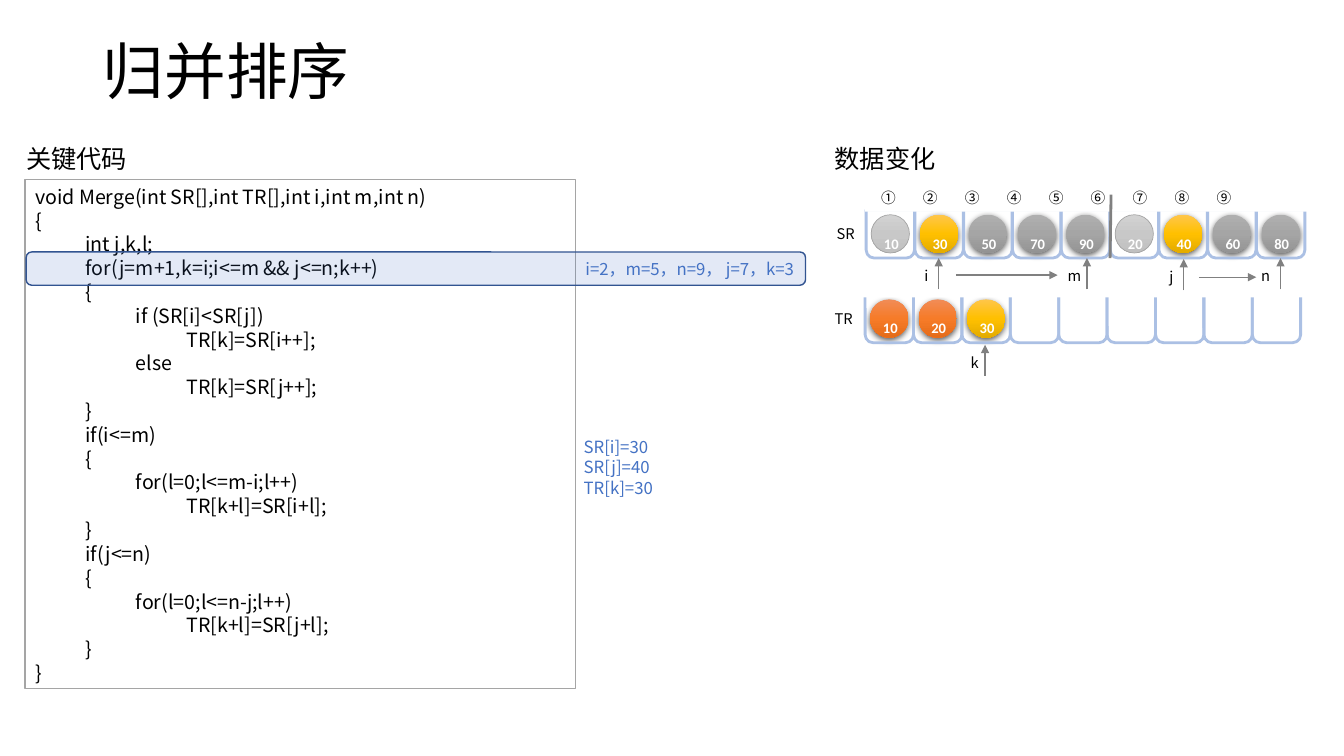
from lxml import etree
from pptx import Presentation
from pptx.dml.color import RGBColor
from pptx.enum import shapes, text
from pptx.oxml import ns
from pptx.util import Inches, Pt

SANS = "Noto Sans CJK SC"
TITLE = "归并排序"
HEADINGS = [("关键代码", 0.16), ("数据变化", 8.18)]
CODE = [
    "void Merge(int SR[],int TR[],int i,int m,int n)",
    "{",
    "\tint j,k,l;",
    "\tfor(j=m+1,k=i;i<=m && j<=n;k++)",
    "\t{",
    "\t\tif (SR[i]<SR[j])",
    "\t\t\tTR[k]=SR[i++];",
    "\t\telse",
    "\t\t\tTR[k]=SR[j++];",
    "\t}",
    "\tif(i<=m)",
    "\t{",
    "\t\tfor(l=0;l<=m-i;l++)",
    "\t\t\tTR[k+l]=SR[i+l];",
    "\t}",
    "\tif(j<=n)",
    "\t{",
    "\t\tfor(l=0;l<=n-j;l++)",
    "\t\t\tTR[k+l]=SR[j+l];",
    "\t}",
    "}",
]
STATE = "i=2，m=5，n=9， j=7，k=3"
VALUES = ["SR[i]=30", "SR[j]=40", "TR[k]=30"]
INDEXES = "①②③④⑤⑥⑦⑧⑨"
GRADIENTS = {
    "used": ("D2D2D2", "C8C8C8", "C0C0C0"),
    "active": ("FFC64B", "FFC000", "E3AB00"),
    "waiting": ("AFAFAF", "A5A5A5", "939393"),
    "merged": ("F18C57", "F67B28", "E56C19"),
}
ROWS = [
    ("SR", 8.20, 2.18, 8.59, 2.08, 0.484, [
        ("10", "used"), ("30", "active"), ("50", "waiting"),
        ("70", "waiting"), ("90", "waiting"), ("20", "used"),
        ("40", "active"), ("60", "waiting"), ("80", "waiting")]),
    ("TR", 8.18, 3.02, 8.58, 2.92, 0.48, [
        ("10", "merged"), ("20", "merged"), ("30", "active")]),
]
CUPS, CUP, BALL = 9, 0.48, 0.38
COVERS = [(8.58, 1.82, 4.69, 0.28), (8.49, 2.77, 4.7, 0.18)]
POINTERS = [("i", 9.07, 2.60, 9.31), ("m", 10.49, 2.60, 10.78),
            ("j", 11.50, 2.61, 11.74), ("n", 12.41, 2.60, 12.70),
            ("k", 9.53, 3.46, 9.77)]
RANGES = [(9.48, 10.49, 2.73), (11.89, 12.46, 2.75)]
DIVIDER = (11.02, 1.93, 11.01, 2.56)


def color(value):
    return RGBColor.from_string(value)


def add_xml(parent, tag, **attributes):
    return etree.SubElement(parent, ns.qn(tag), attributes)


def style_span(span, size, fill, face=SANS):
    span.font.size = Pt(size)
    span.font.name = face
    span.font.color.rgb = color(fill)
    add_xml(span.font._element, "a:ea", typeface=face)


def write(box, lines, size, fill="000000", align=text.PP_ALIGN.LEFT,
          anchor=text.MSO_ANCHOR.TOP):
    frame = box.text_frame
    frame.word_wrap = True
    frame.vertical_anchor = anchor
    if align == text.PP_ALIGN.LEFT:
        frame.margin_right = 0
    for number, line in enumerate(lines):
        para = frame.add_paragraph() if number else frame.paragraphs[0]
        para.alignment = align
        para.line_spacing = Pt(round(size * 1.214, 1))
        span = para.add_run()
        span.text = line
        style_span(span, size, fill)


def add_text(place, lines, size, **options):
    box = page.shapes.add_textbox(*map(Inches, place))
    write(box, lines, size, **options)
    return box


def add_shape(kind, place, fill=None, line=None, width=1):
    shape = page.shapes.add_shape(kind, *map(Inches, place))
    shape.shadow.inherit = False
    if fill:
        shape.fill.solid()
        shape.fill.fore_color.rgb = color(fill)
    else:
        shape.fill.background()
    if line:
        shape.line.color.rgb = color(line)
        shape.line.width = Pt(width)
    else:
        shape.line.fill.background()
    return shape


def add_line(x1, y1, x2, y2, width=1, arrow=True):
    line = page.shapes.add_connector(
        shapes.MSO_CONNECTOR.STRAIGHT, *map(Inches, (x1, y1, x2, y2)))
    line.line.color.rgb = color("808080")
    line.line.width = Pt(width)
    if arrow:
        add_xml(line.line._get_or_add_ln(), "a:tailEnd", type="triangle")
    add_xml(line._element.spPr, "a:effectLst")


def add_ball(left, top, kind):
    outline = "A5A5A5" if kind == "used" else None
    ball = add_shape(shapes.MSO_SHAPE.OVAL, (left, top, BALL, BALL),
                     line=outline, width=0.5)
    properties = ball._element.spPr
    gradient = etree.Element(ns.qn("a:gradFill"), rotWithShape="1")
    stops = add_xml(gradient, "a:gsLst")
    for position, value in zip((0, 50000, 100000), GRADIENTS[kind]):
        stop = add_xml(stops, "a:gs", pos=str(position))
        add_xml(stop, "a:srgbClr", val=value)
    add_xml(gradient, "a:lin", ang="5400000", scaled="0")
    properties.replace(properties.find(ns.qn("a:noFill")), gradient)
    if kind != "used":
        shadow = add_xml(properties.find(ns.qn("a:effectLst")), "a:outerShdw",
                         blurRad=str(Pt(4.5)), dist=str(Pt(1.5)),
                         dir="5400000", algn="ctr", rotWithShape="0")
        shade = add_xml(shadow, "a:srgbClr", val="000000")
        add_xml(shade, "a:alpha", val="63000")


def add_number(left, top, number):
    box = page.shapes.add_textbox(*map(Inches, (left, top, BALL, 0.3)))
    frame = box.text_frame
    frame.word_wrap = True
    frame.margin_left = frame.margin_right = 0
    para = frame.paragraphs[0]
    para.alignment = text.PP_ALIGN.CENTER
    span = para.add_run()
    span.text = number
    style_span(span, 18, "FFFFFF", "Calibri")
    span.font.bold = True
    span.font._element.set("baseline", "-25000")


deck = Presentation()
deck.slide_width, deck.slide_height = Inches(13.33), Inches(7.5)
page = deck.slides.add_slide(deck.slide_layouts[5])

title = page.shapes.title
title.left, title.top, title.width, title.height = map(Inches, (0.92, 0.01, 11.5, 1.45))
write(title, [TITLE], 44, anchor=text.MSO_ANCHOR.MIDDLE)
title.text_frame.paragraphs[0].line_spacing = 0.9

listing = add_shape(shapes.MSO_SHAPE.RECTANGLE, (0.25, 1.78, 5.46, 5.05), "FFFFFF", "A5A5A5")
write(listing, CODE, 14)
highlight = add_shape(shapes.MSO_SHAPE.ROUNDED_RECTANGLE, (0.26, 2.5, 7.73, 0.33),
                      "4472C4", "325491")
tint = highlight._element.spPr.find(ns.qn("a:solidFill"))[0]
add_xml(tint, "a:alpha", val="15000")
write(highlight, [STATE], 12, fill="4472C4", align=text.PP_ALIGN.RIGHT,
      anchor=text.MSO_ANCHOR.MIDDLE)
for heading, left in HEADINGS:
    add_text((left, 1.37, 1.25, 0.4), [heading], 18)
add_text((5.69, 4.28, 0.98, 0.71), VALUES, 12, fill="4472C4")

for name, name_left, name_top, left, top, pitch, balls in ROWS:
    add_text((name_left, name_top, 0.39, 0.28), [name], 10.5)
    for slot, (number, kind) in enumerate(balls):
        add_ball(left + slot * pitch + 0.05, top + 0.05, kind)
    for slot in range(CUPS):
        cup = add_shape(shapes.MSO_SHAPE.ROUND_2_SAME_RECTANGLE,
                        (left + slot * pitch, top, CUP, CUP), line="ABC0E4", width=2)
        cup.rotation = 180
    for slot, (number, kind) in enumerate(balls):
        add_number(left + slot * pitch + 0.06, top + 0.03, number)

for place in COVERS:
    add_shape(shapes.MSO_SHAPE.RECTANGLE, place, "FFFFFF")
for slot, index in enumerate(INDEXES):
    add_text((8.64 + slot * 0.416, 1.82, 0.3, 0.28), [index], 10.5)

add_line(*DIVIDER, width=2, arrow=False)
for name, left, top, x in POINTERS:
    add_text((left, top, 0.27, 0.28), [name], 10.5)
    add_line(x, top + 0.27, x, top - 0.04)
for start, end, y in RANGES:
    add_line(start, y, end, y)

deck.save("out.pptx")
